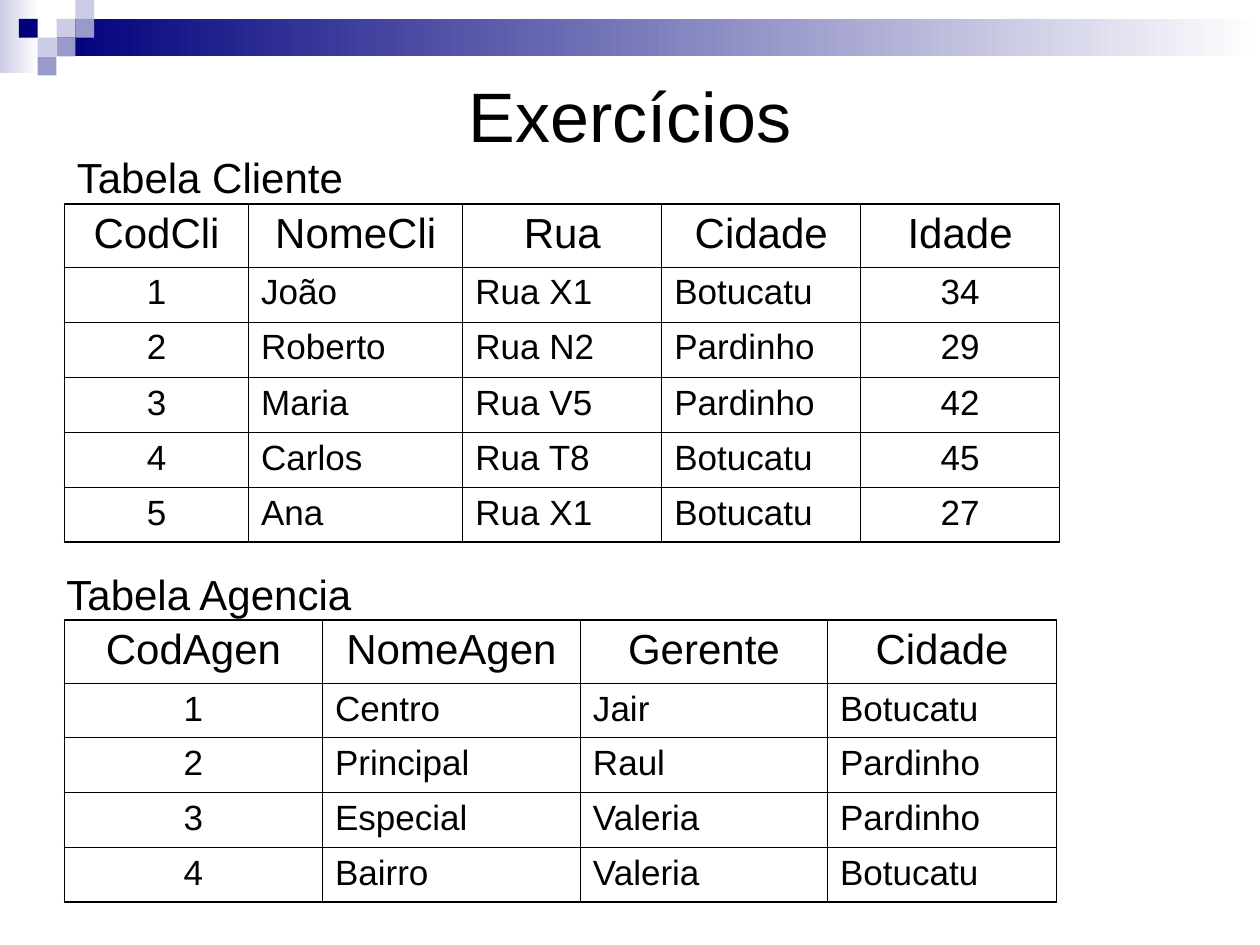
from dataclasses import dataclass

from lxml import etree
from pptx import Presentation
from pptx import util as u
from pptx.dml.color import RGBColor
from pptx.enum import shapes, text
from pptx.oxml import ns


@dataclass(frozen=True)
class Theme:
    font: str = "Arial"
    ink: str = "000000"
    navy: str = "00007D"
    lilac: str = "9999CC"
    pale: str = "CCCCE6"
    white: str = "FFFFFF"
    title: int = 40
    heading: int = 24
    body: int = 20
    outer_border: float = 1.08
    inner_border: float = 0.45


theme = Theme()
LEFT, CENTER = text.PP_ALIGN.LEFT, text.PP_ALIGN.CENTER


def write(frame, words, size, alignment):
    paragraph = frame.paragraphs[0]
    paragraph.alignment = alignment
    run = paragraph.add_run()
    run.text = words
    font_format = {"name": theme.font, "size": u.Pt(size), "bold": False}
    for name, value in font_format.items():
        setattr(run.font, name, value)
    run.font.color.rgb = RGBColor.from_string(theme.ink)


def add_block(slide, box, *colors):
    shape = slide.shapes.add_shape(shapes.MSO_SHAPE.RECTANGLE, *map(u.Cm, box))
    shape.shadow.inherit = False
    shape.line.fill.background()
    if len(colors) == 1:
        shape.fill.solid()
        shape.fill.fore_color.rgb = RGBColor.from_string(colors[0])
    else:
        shape.fill.gradient()
        shape.fill.gradient_angle = 0
        for stop, position, color in zip(shape.fill.gradient_stops, (0, 1), colors):
            stop.position = position
            stop.color.rgb = RGBColor.from_string(color)


presentation = Presentation()
presentation.slide_width = u.Cm(25.4)
presentation.slide_height = u.Cm(19.05)
slide = presentation.slides.add_slide(presentation.slide_layouts[5])

add_block(slide, (0, 0, 0.79, 1.47), theme.pale, theme.white)
add_block(slide, (1.14, 0.38, 24.26, 0.76), theme.navy, theme.white)
square = 0.38
mosaic = [
    (3, 1, theme.pale),
    (4, 0, theme.pale),
    (4, 1, theme.lilac),
    (2, 2, theme.pale),
    (1, 1, theme.navy),
    (3, 2, theme.lilac),
    (2, 3, theme.lilac),
]
for column, row, color in mosaic:
    add_block(slide, (column * square, row * square, square, square), color)

title = slide.shapes.title
title_box = {"left": 1.27, "top": 1.27, "width": 22.86, "height": 2.06}
for name, value in title_box.items():
    setattr(title, name, u.Cm(value))
title.text_frame.auto_size = text.MSO_AUTO_SIZE.NONE
title.text_frame.vertical_anchor = text.MSO_ANCHOR.MIDDLE
write(title.text_frame, "Exercícios", theme.title, CENTER)

tables = [
    {
        "caption": "Tabela Cliente",
        "caption_at": (1.3, 2.92),
        "top": 4.11,
        "widths": [3.71, 4.32, 4.01, 4.01, 4.01],
        "row_height": 1.11,
        "rows": [
            ("CodCli", "NomeCli", "Rua", "Cidade", "Idade"),
            ("1", "João", "Rua X1", "Botucatu", "34"),
            ("2", "Roberto", "Rua N2", "Pardinho", "29"),
            ("3", "Maria", "Rua V5", "Pardinho", "42"),
            ("4", "Carlos", "Rua T8", "Botucatu", "45"),
            ("5", "Ana", "Rua X1", "Botucatu", "27"),
        ],
    },
    {
        "caption": "Tabela Agencia",
        "caption_at": (1.09, 11.33),
        "top": 12.5,
        "widths": [5.2, 5.2, 4.98, 4.62],
        "row_height": 1.1,
        "rows": [
            ("CodAgen", "NomeAgen", "Gerente", "Cidade"),
            ("1", "Centro", "Jair", "Botucatu"),
            ("2", "Principal", "Raul", "Pardinho"),
            ("3", "Especial", "Valeria", "Pardinho"),
            ("4", "Bairro", "Valeria", "Botucatu"),
        ],
    },
]
header_height = 1.27
for data in tables:
    rows, widths = data["rows"], data["widths"]
    heights = [header_height] + [data["row_height"]] * (len(rows) - 1)
    table = slide.shapes.add_table(
        len(rows), len(widths), u.Cm(1.3), u.Cm(data["top"]),
        u.Cm(sum(widths)), u.Cm(sum(heights)),
    ).table
    table.first_row = table.horz_banding = False
    for column, width in zip(table.columns, widths):
        column.width = u.Cm(width)
    for r, (values, height) in enumerate(zip(rows, heights)):
        table.rows[r].height = u.Cm(height)
        for c, value in enumerate(values):
            cell = table.cell(r, c)
            size = theme.body if r else theme.heading
            centered = r == 0 or value.isdigit()
            write(cell.text_frame, value, size, CENTER if centered else LEFT)
            outer_edges = {
                "a:lnL": c == 0,
                "a:lnR": c == len(widths) - 1,
                "a:lnT": r == 0,
                "a:lnB": r == len(rows) - 1,
            }
            properties = cell._tc.get_or_add_tcPr()
            for edge, outer in outer_edges.items():
                weight = theme.outer_border if outer else theme.inner_border
                line = etree.SubElement(properties, ns.qn(edge), w=str(u.Pt(weight)))
                fill = etree.SubElement(line, ns.qn("a:solidFill"))
                etree.SubElement(fill, ns.qn("a:srgbClr"), val=theme.ink)
            cell.fill.background()

    caption = slide.shapes.add_textbox(
        *map(u.Cm, data["caption_at"]), u.Cm(8.46), u.Cm(1.27)
    )
    caption.text_frame.word_wrap = True
    caption.text_frame.auto_size = text.MSO_AUTO_SIZE.SHAPE_TO_FIT_TEXT
    write(caption.text_frame, data["caption"], theme.heading, LEFT)

presentation.save("out.pptx")
